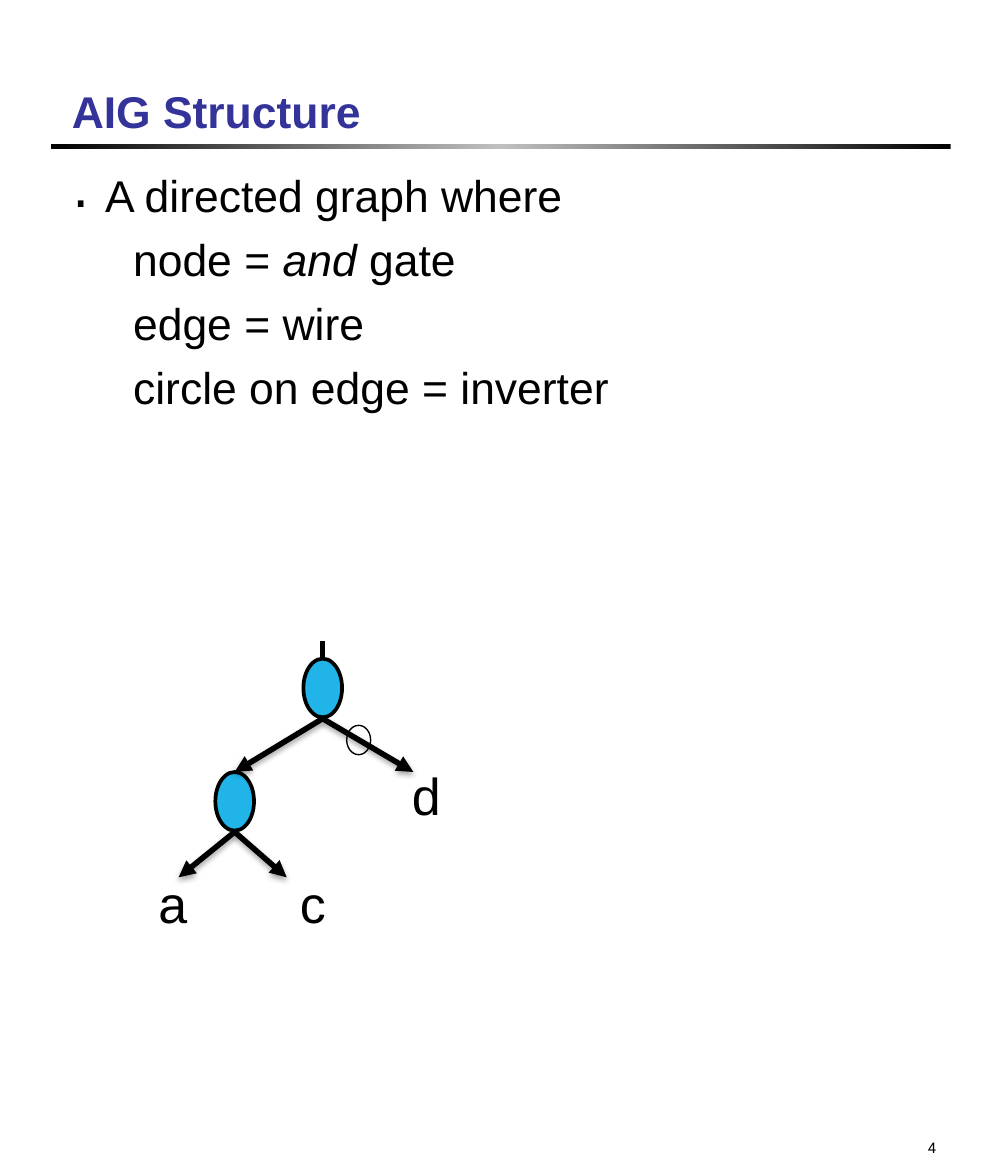
import copy

import pptx
import pptx.dml.color
import pptx.enum.shapes
import pptx.enum.text
import pptx.oxml
import pptx.oxml.ns
import pptx.util

Inches = pptx.util.Inches
Pt = pptx.util.Pt
SHAPE = pptx.enum.shapes.MSO_SHAPE
ANCHOR = pptx.enum.text.MSO_ANCHOR
ALIGN = pptx.enum.text.PP_ALIGN
NS = pptx.oxml.ns.nsdecls("a")


def color(value):
    return pptx.dml.color.RGBColor.from_string(value)


def add_text(left, top, width, height, lines, size, font="Arial", ink="000000"):
    box = slide.shapes.add_textbox(Inches(left), Inches(top), Inches(width), Inches(height))
    frame = box.text_frame
    frame.word_wrap = True
    frame.text = "\n".join(lines)
    for paragraph in frame.paragraphs:
        for run in paragraph.runs:
            run.font.size = Pt(size)
            run.font.name = font
            run.font.color.rgb = color(ink)
    return frame


deck = pptx.Presentation()
deck.slide_width = Inches(7.5)
deck.slide_height = Inches(8.82)
slide = deck.slides.add_slide(deck.slide_layouts[6])

rules = [
    (0.5, [(0, "1C1C1C"), (1, "FFFFFF")]),
    (0.38, [(0, "000000"), (0.5, "C0C0C0"), (1, "000000")]),
]
for left, stops in rules:
    rule = slide.shapes.add_shape(SHAPE.RECTANGLE, Inches(left), Inches(1.08), Inches(6.75), Inches(0.04))
    rule.shadow.inherit = False
    rule.line.fill.background()
    rule.fill.gradient()
    rule.fill.gradient_angle = 0
    stop_list = rule.element.spPr.find(".//" + pptx.oxml.ns.qn("a:gsLst"))
    while len(stop_list) < len(stops):
        stop_list.append(copy.deepcopy(stop_list[0]))
    for stop, (position, shade) in zip(rule.fill.gradient_stops, stops):
        stop.position = position
        stop.color.rgb = color(shade)

node_width, node_height = 0.29, 0.44
root_x, root_y = 2.42, 4.94
child_x, child_y = 1.76, 5.79
ellipses = [
    (2.6, 5.44, 0.18, 0.22, "FFFFFF", 0.75),
    (root_x - node_width / 2, root_y, node_width, node_height, "20B4E8", 2),
    (child_x - node_width / 2, child_y, node_width, node_height, "20B4E8", 2),
]
for left, top, width, height, fill, weight in ellipses:
    ellipse = slide.shapes.add_shape(SHAPE.OVAL, Inches(left), Inches(top), Inches(width), Inches(height))
    ellipse.shadow.inherit = False
    ellipse.fill.solid()
    ellipse.fill.fore_color.rgb = color(fill)
    ellipse.line.color.rgb = color("000000")
    ellipse.line.width = Pt(weight)

title = add_text(0.44, 0.2, 6.56, 0.88, ["AIG Structure"], 24, ink="333399")
title.vertical_anchor = ANCHOR.BOTTOM
title.paragraphs[0].runs[0].font.bold = True

definitions = ["A directed graph where", "node = ", "edge = wire", "circle on edge = inverter"]
body = add_text(0.44, 1.21, 6.62, 2.63, definitions, 24)
heading, *details = body.paragraphs
heading_format = heading._p.get_or_add_pPr()
heading_format.set("marL", str(Inches(0.25)))
heading_format.set("indent", str(Inches(-0.25)))
for bullet in (
    f'<a:buClr {NS}><a:srgbClr val="000000"/></a:buClr>',
    f'<a:buSzPct {NS} val="120000"/>',
    f'<a:buChar {NS} char="․"/>',
):
    heading_format.append(pptx.oxml.parse_xml(bullet))
for detail in details:
    detail._p.get_or_add_pPr().set("marL", str(Inches(0.46)))
    detail.space_before = Pt(5.8)
for word, italic in (("and", True), (" gate", False)):
    run = details[0].add_run()
    run.text = word
    run.font.size = Pt(24)
    run.font.name = "Arial"
    run.font.color.rgb = color("000000")
    run.font.italic = italic

page_number = add_text(5.56, 8.13, 1.56, 0.59, ["4"], 7.9, font="Roboto")
page_number.vertical_anchor = ANCHOR.BOTTOM
page_number.paragraphs[0].alignment = ALIGN.RIGHT

root_bottom = root_y + node_height + 0.01
child_bottom = child_y + node_height + 0.01
edges = [
    (root_x, root_bottom, child_x, child_y, True),
    (root_x, root_bottom, 3.1, child_y, True),
    (child_x, child_bottom, 1.34, 6.58, True),
    (child_x, child_bottom, 2.15, 6.58, True),
    (root_x, root_y, root_x, 4.81, False),
]
for start_x, start_y, end_x, end_y, arrow in edges:
    edge = slide.shapes.add_connector(
        pptx.enum.shapes.MSO_CONNECTOR.STRAIGHT,
        Inches(start_x), Inches(start_y), Inches(end_x), Inches(end_y))
    edge.line.color.rgb = color("000000")
    edge.line.width = Pt(3)
    effects = pptx.oxml.parse_xml(f"<a:effectLst {NS}/>")
    edge.element.spPr.append(effects)
    if arrow:
        edge.line._get_or_add_ln().append(pptx.oxml.parse_xml(f'<a:tailEnd {NS} type="triangle"/>'))
        effects.append(pptx.oxml.parse_xml(
            f'<a:outerShdw {NS} blurRad="{Pt(3.1)}" dist="{Pt(1.8)}" dir="5400000" rotWithShape="0">'
            '<a:srgbClr val="000000"><a:alpha val="35000"/></a:srgbClr></a:outerShdw>'))

for label, left, top in (("a", 1.09, 6.49), ("c", 2.15, 6.49), ("d", 2.99, 5.68)):
    add_text(left, top, 0.45, 0.57, [label], 28)

deck.save("out.pptx")
